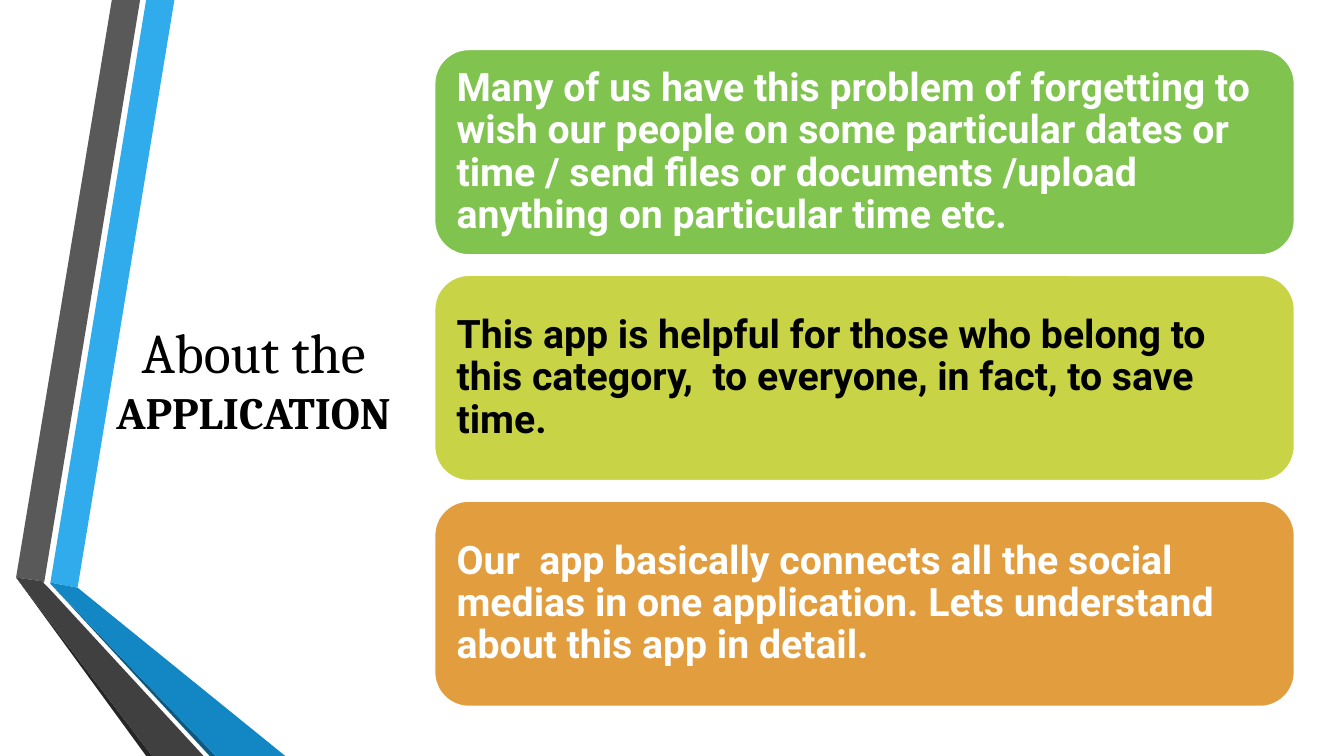
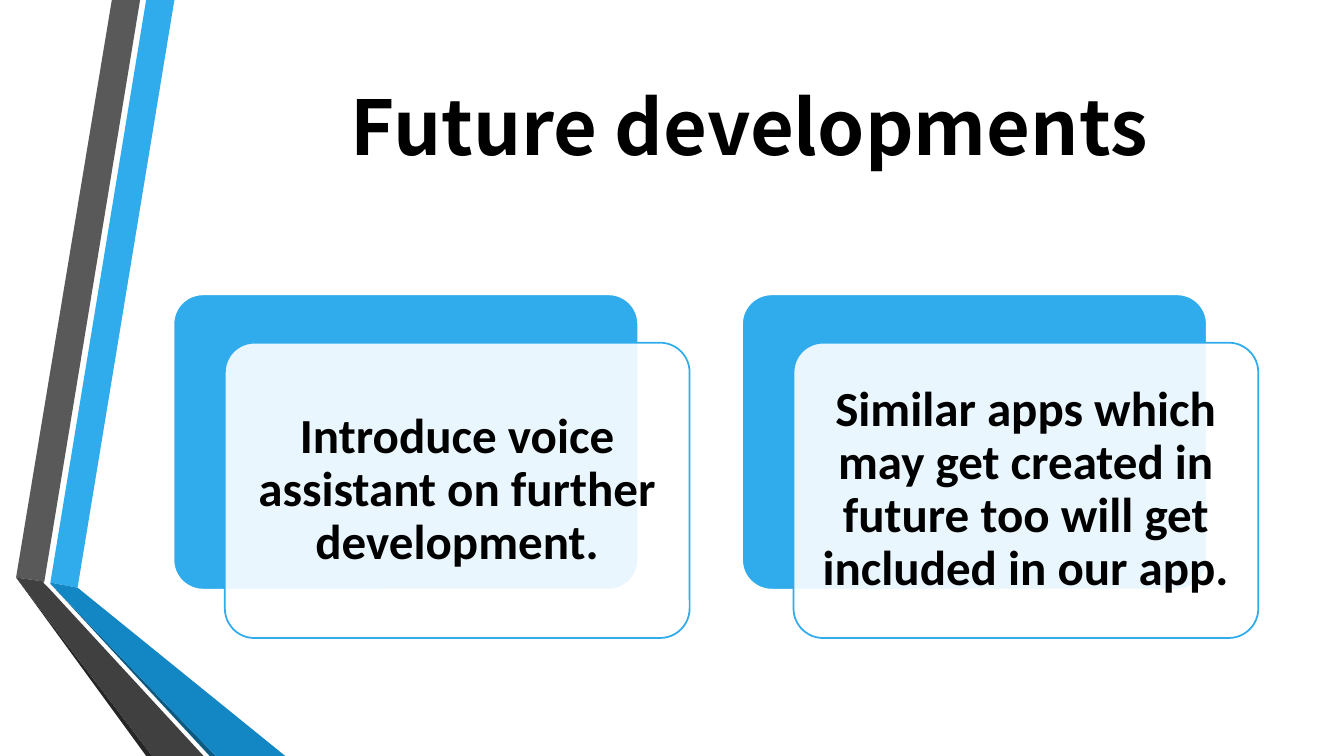
from lxml import etree
from pptx import Presentation
from pptx import util as u
from pptx.dml.color import RGBColor
from pptx.enum import shapes, text
from pptx.oxml.ns import qn

WHITE, BLACK, BLUE = "FFFFFF", "000000", "30ACEC"

# Ribbon facets from back to front: colour, then corners in inches
RIBBON = [
    (BLUE, [(0.5, 5.78), (0.77, 5.83), (1.73, 0), (1.45, 0)]),
    ("595959", [(1.39, 0), (1.11, 0), (0.16, 5.73), (0.44, 5.77)]),
    ("262626", [(0.16, 5.73), (1.45, 7.5), (1.51, 7.5)]),
    ("0C5A82", [(0.5, 5.79), (2.08, 7.5), (2.14, 7.5)]),
    ("1287C3", [(0.5, 5.79), (2.14, 7.5), (2.83, 7.5), (0.77, 5.83), (0.5, 5.78)]),
    ("404040", [(2.02, 7.5), (0.48, 5.83), (0.43, 5.78), (0.44, 5.77),
                (0.16, 5.73), (1.51, 7.5)]),
]

# Runs: wording, font, size, bold
ABOUT_TITLE = [("About the ", "Cambria", 40, False), ("APPLICATION", "Cambria", 32, True)]
FUTURE_TITLE = [("Future developments", "Noto Sans CJK JP", 54, True)]

ABOUT_POINTS = [
    ("80C34F", WHITE, "Many of us have this problem of forgetting to wish our people on some "
     "particular dates or time / send files or documents /upload anything on particular "
     "time etc."),
    ("C8D346", BLACK, "This app is helpful for those who belong to this category,  to everyone, "
     "in fact, to save time."),
    ("E29D3E", WHITE, "Our  app basically connects all the social medias in one application. "
     "Lets understand about this app in detail."),
]
FUTURE_PLANS = [
    "Introduce voice assistant on further development.",
    "Similar apps which may get created in future too will get included in our app.",
]


def rgb(value):
    return RGBColor.from_string(value)


def paint(shape, fill, line=None, opacity=100):
    shape.shadow.inherit = False
    shape.fill.solid()
    shape.fill.fore_color.rgb = rgb(fill)
    if opacity < 100:
        tint = shape.fill._xPr.find(qn("a:solidFill"))[0]
        etree.SubElement(tint, qn("a:alpha"), val=str(opacity * 1000))
    if line:
        shape.line.color.rgb = rgb(line)
        shape.line.width = u.Pt(1.25)
    else:
        shape.line.fill.background()


def write(shape, runs, color, align, inset=None, spacing=None):
    frame = shape.text_frame
    frame.word_wrap = True
    frame.vertical_anchor = text.MSO_ANCHOR.MIDDLE
    if inset is not None:
        frame.margin_left = frame.margin_right = u.Inches(inset)
        frame.margin_top = frame.margin_bottom = u.Inches(inset)
    paragraph = frame.paragraphs[0]
    paragraph.alignment = align
    if spacing:
        paragraph.line_spacing = spacing
    for wording, font, size, bold in runs:
        run = paragraph.add_run()
        run.text = wording
        run.font.name = font
        run.font.size = u.Pt(size)
        run.font.bold = bold
        run.font.color.rgb = rgb(color)


def add_title(slide, runs, *box):
    title = slide.shapes.add_textbox(*map(u.Inches, box))
    write(title, runs, BLACK, text.PP_ALIGN.CENTER)


def add_card(slide, box, fill, line, radius=None, opacity=100):
    card = slide.shapes.add_shape(shapes.MSO_SHAPE.ROUNDED_RECTANGLE, *map(u.Inches, box))
    if radius is not None:
        card.adjustments[0] = radius
    paint(card, fill, line, opacity)
    return card


def add_ribbon(slide, layout):
    """Draw the ribbon and move it to the layout, so that every slide shows it."""
    for color, corners in RIBBON:
        first, *rest = [(u.Inches(x), u.Inches(y)) for x, y in corners]
        builder = slide.shapes.build_freeform(*first)
        builder.add_line_segments(rest, close=True)
        facet = builder.convert_to_shape()
        paint(facet, color)
        layout.shapes.element.append(facet.element)


def build_about(slide):
    add_title(slide, ABOUT_TITLE, 0.72, 1.89, 3.59, 3.71)
    top, height, gap = 0.49, 2.04, 0.2
    for i, (fill, color, wording) in enumerate(ABOUT_POINTS):
        card = add_card(slide, (4.31, top + i * (height + gap), 8.53, height), fill, WHITE)
        write(card, [(wording, "Roboto", 28, True)], color, text.PP_ALIGN.LEFT, 0.12, 0.9)


def build_future(slide):
    add_title(slide, FUTURE_TITLE, 2.1, 0.63, 10.66, 1.23)
    left, top, width, height = 1.72, 2.92, 4.61, 2.93
    pitch, shift_x, shift_y = 5.64, 0.51, 0.48
    for i, wording in enumerate(FUTURE_PLANS):
        x = left + i * pitch
        add_card(slide, (x, top, width, height), BLUE, WHITE, 0.1)
        front = add_card(slide, (x + shift_x, top + shift_y, width, height),
                         WHITE, BLUE, 0.1, opacity=90)
        write(front, [(wording, "Calibri", 35, True)], BLACK, text.PP_ALIGN.CENTER, 0.15, 0.9)


def main():
    deck = Presentation()
    deck.slide_width, deck.slide_height = u.Inches(13.33), u.Inches(7.5)
    blank = deck.slide_layouts[6]
    about, future = (deck.slides.add_slide(blank) for _ in range(2))
    add_ribbon(about, blank)
    build_about(about)
    build_future(future)
    deck.save("out.pptx")


if __name__ == "__main__":
    main()
